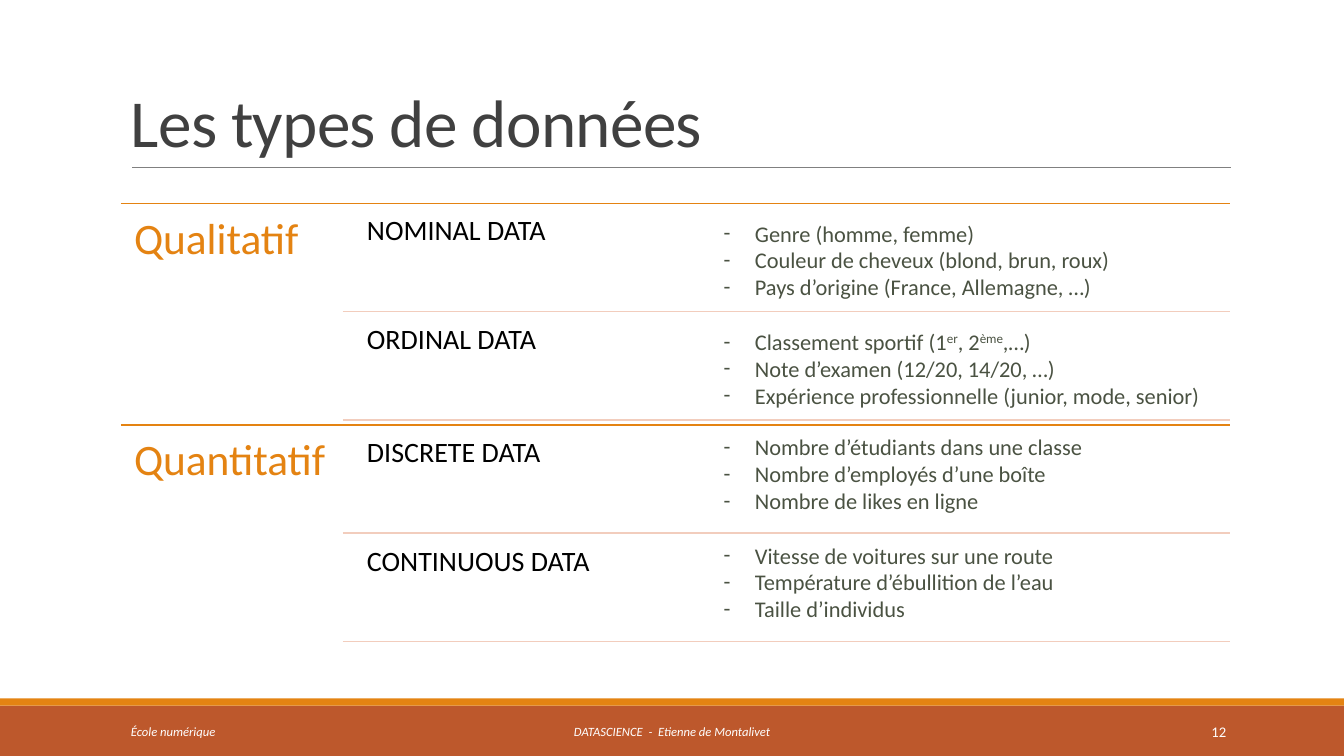
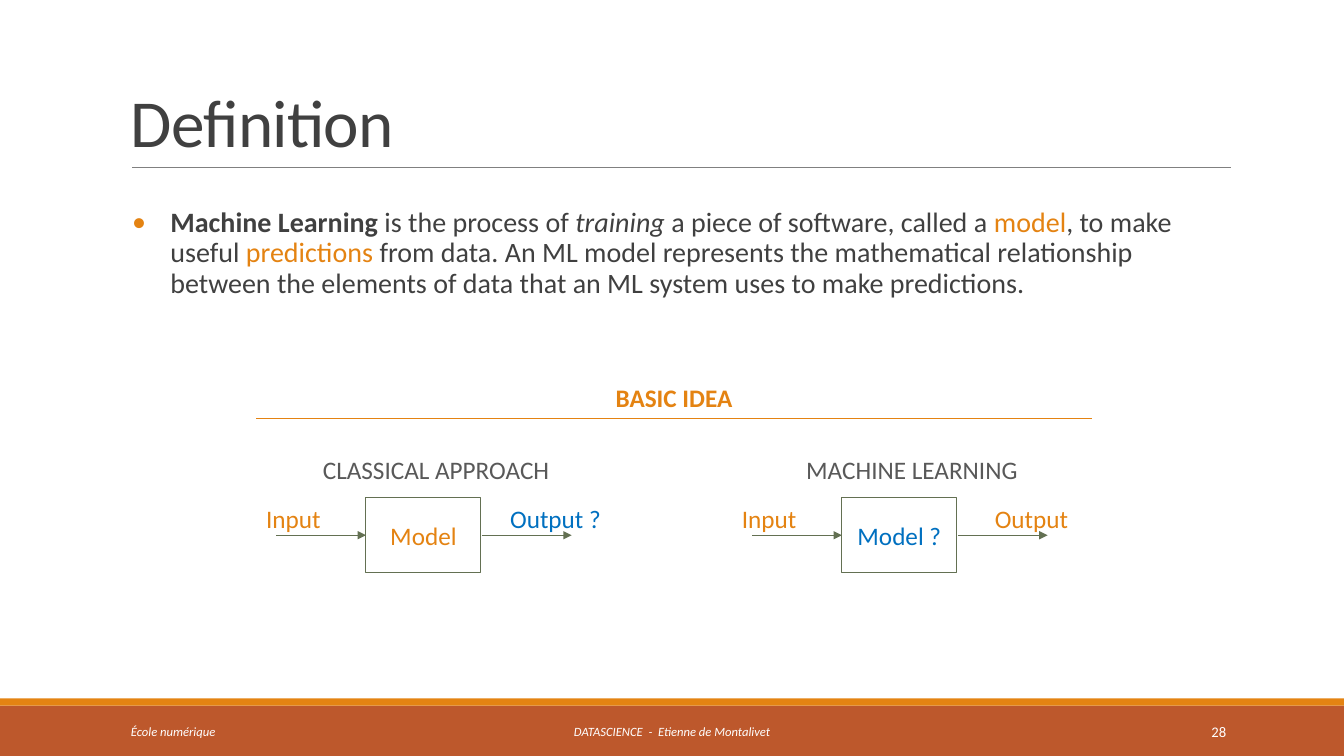
from pptx import Presentation
from pptx.dml.color import RGBColor
from pptx.enum.shapes import MSO_CONNECTOR, MSO_SHAPE
from pptx.enum.text import MSO_ANCHOR, PP_ALIGN
from pptx.oxml.ns import qn
from pptx.util import Inches, Pt
from lxml.etree import SubElement

# Theme
FONT = "Calibri"
INK = dict(
    band="BD582C", accent="E48312", rule="808080", title="404040",
    pale="F2CDBD", black="000000", note="4A5242", white="FFFFFF",
    box="637052", blue="0070C0", label="595959",
)
STYLE = dict(
    title=dict(size=48, color="title", spc=-50),
    group=dict(size=31, color="accent"),
    kind=dict(size=20, color="black"),
    note=dict(size=16, color="note"),
    body=dict(size=20, color="title"),
    foot=dict(size=9, color="white", italic=True),
    page=dict(size=10.5, color="white"),
    head=dict(size=18, color="accent", bold=True),
    label=dict(size=18, color="label"),
    known=dict(size=18, color="accent"),
    asked=dict(size=18, color="blue"),
)
LEFT, RIGHT, MID = PP_ALIGN.LEFT, PP_ALIGN.RIGHT, PP_ALIGN.CENTER
DASH = dict(char="-", left=0.31, hang=0.31)
DOT = dict(char="•", left=0.49, hang=0.38, color="accent")

# Content
SCHOOL = "École numérique"
COURSE = "DATASCIENCE  -  Etienne de Montalivet"
UP = dict(baseline=30000)
TYPES = [
    ("Qualitatif", 0.06, [
        ("NOMINAL DATA", [
            "Genre (homme, femme)",
            "Couleur de cheveux (blond, brun, roux)",
            "Pays d’origine (France, Allemagne, …)"]),
        ("ORDINAL DATA", [
            [("Classement sportif (1", {}), ("er", UP), (", 2", {}),
             ("ème", UP), (",…)", {})],
            "Note d’examen (12/20, 14/20, …)",
            "Expérience professionnelle (junior, mode, senior)"]),
    ]),
    ("Quantitatif", -0.02, [
        ("DISCRETE DATA", [
            "Nombre d’étudiants dans une classe",
            "Nombre d’employés d’une boîte",
            "Nombre de likes en ligne"]),
        ("CONTINUOUS DATA", [
            "Vitesse de voitures sur une route",
            "Température d’ébullition de l’eau",
            "Taille d’individus"]),
    ]),
]
HUE = dict(color="accent")
MEANING = [
    ("Machine Learning", dict(bold=True)),
    (" is the process of ", {}),
    ("training", dict(italic=True)),
    (" a piece of software, called a ", {}),
    ("model", HUE),
    (", to make useful ", {}),
    ("predictions", HUE),
    (" from data. An ML model represents the mathematical relationship "
     "between the elements of data that an ML system uses to make "
     "predictions.", {}),
]
IDEAS = [  # caption, then (text, style) of model and output
    ("CLASSICAL APPROACH", ("Model", "known"), ("Output ?", "asked")),
    ("MACHINE LEARNING", ("Model ?", "asked"), ("Output", "known")),
]


# Helpers
def tint(name):
    return RGBColor.from_string(INK[name])


def style(run, form):
    run.font.name = FONT
    for key, val in form.items():
        if key == "color":
            run.font.color.rgb = tint(val)
        elif key in ("spc", "baseline"):
            run._r.get_or_add_rPr().set(key, str(val))
        else:
            setattr(run.font, key, Pt(val) if key == "size" else val)


def mark(para, char, left, hang, color=None):
    props = para._p.get_or_add_pPr()
    props.set("marL", str(Inches(left)))
    props.set("indent", str(-Inches(hang)))
    if color:
        SubElement(SubElement(props, qn("a:buClr")), qn("a:srgbClr"),
                   val=INK[color])
    SubElement(props, qn("a:buFont"), typeface=FONT)
    SubElement(props, qn("a:buChar"), char=char)


def write(shape, paras, look, pad=(0.1, 0.05), anchor=MSO_ANCHOR.TOP,
          bullet=None, **form):
    frame = shape.text_frame
    wide, high = (Inches(val) for val in pad)
    setup = dict(word_wrap=True, vertical_anchor=anchor, margin_left=wide,
                 margin_right=wide, margin_top=high, margin_bottom=high)
    for key, val in setup.items():
        setattr(frame, key, val)
    for num, runs in enumerate(paras):
        para = frame.add_paragraph() if num else frame.paragraphs[0]
        if bullet:
            mark(para, **bullet)
        for key, val in form.items():
            setattr(para, key, val)
        for words, extra in [(runs, {})] if isinstance(runs, str) else runs:
            run = para.add_run()
            run.text = words
            style(run, STYLE[look] | extra)


def text(slide, area, paras, look, **form):
    box = slide.shapes.add_textbox(*map(Inches, area))
    write(box, paras, look, **form)


def rect(slide, area, fill=None, line=None):
    box = slide.shapes.add_shape(MSO_SHAPE.RECTANGLE, *map(Inches, area))
    box.shadow.inherit = False
    if fill:
        box.fill.solid()
        box.fill.fore_color.rgb = tint(fill)
    else:
        box.fill.background()
    if line:
        box.line.color.rgb = tint(line)
        box.line.width = Pt(0.75)
    else:
        box.line.fill.background()
    return box


def rule(slide, x, y, end, color, width, arrow=False):
    line = slide.shapes.add_connector(
        MSO_CONNECTOR.STRAIGHT, *map(Inches, (x, y, end, y)))
    line.line.color.rgb = tint(color)
    line.line.width = Pt(width)
    if arrow:
        SubElement(line.line._get_or_add_ln(), qn("a:tailEnd"),
                   type="triangle")
    SubElement(line._element.spPr, qn("a:effectLst"))


# Shared frame of every slide
def start(deck, title, page):
    slide = deck.slides.add_slide(deck.slide_layouts[6])
    rect(slide, (0, 7, 13.33, 0.5), "band")
    rect(slide, (0, 6.93, 13.33, 0.07), "accent")
    rule(slide, 1.31, 1.66, 12.21, "rule", 0.5)
    text(slide, (1.2, 0.31, 11, 1.34), [title], "title",
         anchor=MSO_ANCHOR.BOTTOM, line_spacing=0.85)
    for x, wide, words, look, side in (
            (1.2, 2.7, SCHOOL, "foot", LEFT),
            (4.03, 5.27, COURSE, "foot", MID),
            (10.83, 1.43, str(page), "page", RIGHT)):
        text(slide, (x, 7.06, wide, 0.4), [words], look,
             anchor=MSO_ANCHOR.MIDDLE, alignment=side)
    return slide


# Data types: two groups of two rows
def types(deck):
    slide = start(deck, "Les types de données", 12)
    tall, step = 2.2, 1.075
    for num, (name, drop, rows) in enumerate(TYPES):
        top = 2.02 + num * tall
        rule(slide, 1.2, top, 12.2, "accent", 1.25)
        text(slide, (1.2, top, 2.2, tall), [name], "group",
             pad=(0.13, 0.13), line_spacing=0.9)
        for pos, (kind, notes) in enumerate(rows):
            y = top + 0.05 + pos * step
            text(slide, (3.56, y, 3.17, 1.02), [kind], "kind",
                 pad=(0.08, 0.08), line_spacing=0.9)
            rule(slide, 3.4, y + 1.02, 12.2, "pale", 1.25)
            text(slide, (7.08, y + drop, 5.24, 0.91), notes, "note",
                 bullet=DASH)


# Definition: sentence above two input-model-output flows
def meaning(deck):
    slide = start(deck, "Definition", 28)
    text(slide, (1.2, 2.02, 11, 1.33), [MEANING], "body", pad=(0, 0.05),
         bullet=DOT, line_spacing=0.9)
    left, wide, part = 2.54, 8.29, 3.57
    text(slide, (left, 3.74, wide, 0.4), ["BASIC IDEA"], "head",
         alignment=MID)
    rule(slide, left, 4.15, left + wide, "accent", 1)
    pad = (0.1, 0.1)
    for num, (name, model, output) in enumerate(IDEAS):
        x = left + num * (wide - part)
        box = rect(slide, (x + 1.09, 4.94, 1.14, 0.74), line="box")
        write(box, [model[0]], model[1], pad=pad,
              anchor=MSO_ANCHOR.MIDDLE, alignment=MID)
        for tail in (0.2, 2.24):
            rule(slide, x + tail, 5.31, x + tail + 0.89, "box", 0.75, True)
        for dx, y, span, words, look, side in (
                (0, 4.89, 0.89, "Input", "known", LEFT),
                (2.37, 4.89, 1.2, *output, MID),
                (0, 4.41, part, name, "label", MID)):
            text(slide, (x + dx, y, span, 0.42), [words], look, pad=pad,
                 alignment=side)


def main():
    deck = Presentation()
    deck.slide_width, deck.slide_height = Inches(13.33), Inches(7.5)
    types(deck)
    meaning(deck)
    deck.save("out.pptx")


if __name__ == "__main__":
    main()
